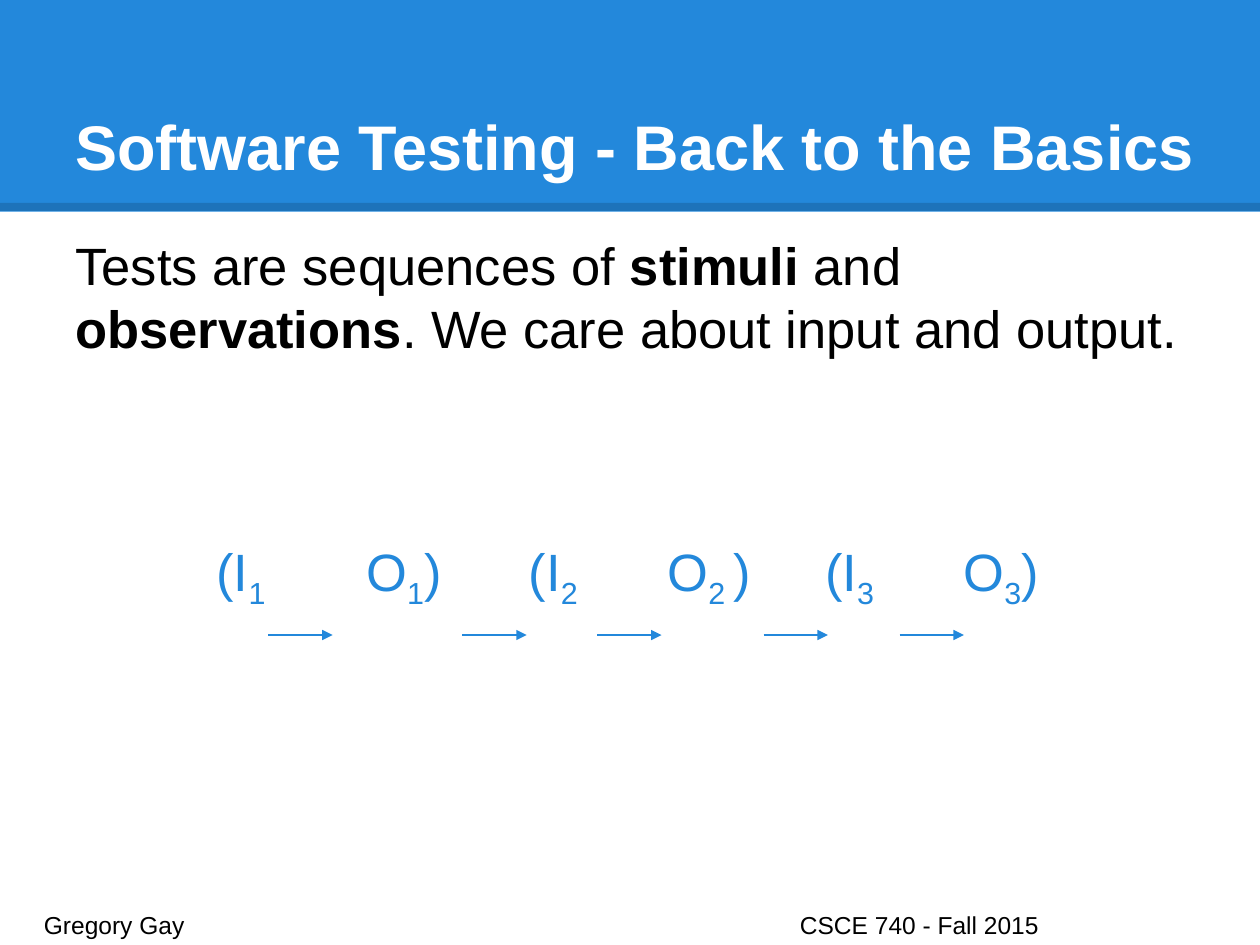
"""Build the slide on tests as sequences of stimuli and observations."""
from lxml import etree
from pptx import Presentation
from pptx.dml.color import RGBColor
from pptx.enum import shapes, text
from pptx.oxml.ns import qn
from pptx.util import Inches, Pt

BLUE = RGBColor(0x23, 0x88, 0xDB)
WHITE = RGBColor(0xFF, 0xFF, 0xFF)
BLACK = RGBColor(0x00, 0x00, 0x00)


class Slide:
    """Holds the style and the current page; lengths are percent of the page."""

    font = "Arial"
    inset = Inches(0.1)

    def __init__(self, deck):
        self.deck = deck
        self.page = deck.slides.add_slide(deck.slide_layouts[6])

    def across(self, share):
        """Turn a share of the page width into a length."""
        return int(self.deck.slide_width * share / 100)

    def down(self, share):
        """Turn a share of the page height into a length."""
        return int(self.deck.slide_height * share / 100)

    def place(self, left, top, width, height):
        """Turn four shares into four lengths."""
        return self.across(left), self.down(top), self.across(width), self.down(height)

    def band(self, height, color):
        """Add a filled band across the top."""
        band = self.page.shapes.add_shape(
            shapes.MSO_SHAPE.RECTANGLE, *self.place(0, 0, 100, height))
        band.shadow.inherit = False
        band.fill.solid()
        band.fill.fore_color.rgb = color
        band.line.fill.background()

    def rule(self, left, right, top, color, weight, opacity=100, arrow=False):
        """Add a level line, faded or with an arrowhead if asked."""
        y = self.down(top)
        rule = self.page.shapes.add_connector(
            shapes.MSO_CONNECTOR.STRAIGHT, self.across(left), y, self.across(right), y)
        rule.line.color.rgb = color
        rule.line.width = Pt(weight)
        props = rule._element.spPr
        line = props.find(qn("a:ln"))
        if opacity < 100:
            shade = line.find(".//" + qn("a:srgbClr"))
            etree.SubElement(shade, qn("a:alpha"), val=str(opacity * 1000))
        if arrow:
            etree.SubElement(line, qn("a:tailEnd"), type="triangle")
        etree.SubElement(props, qn("a:effectLst"))

    def box(self, left, top, width, height, anchor=text.MSO_ANCHOR.TOP):
        """Add an empty text box and return its frame."""
        frame = self.page.shapes.add_textbox(
            *self.place(left, top, width, height)).text_frame
        frame.word_wrap = True
        frame.vertical_anchor = anchor
        frame.margin_left = frame.margin_right = self.inset
        frame.margin_top = frame.margin_bottom = self.inset
        return frame

    def tabs(self, para, stops):
        """Set tab stops, measured from the left edge of the text."""
        tab_list = etree.SubElement(para._p.get_or_add_pPr(), qn("a:tabLst"))
        for stop in stops:
            etree.SubElement(tab_list, qn("a:tab"), pos=str(self.across(stop)), algn="l")

    def span(self, para, words, size, color, bold=False, baseline=0):
        """Add one run of text."""
        span = para.add_run()
        span.text = words
        span.font.name = self.font
        span.font.size = Pt(size)
        span.font.color.rgb = color
        span.font.bold = bold
        if baseline:
            span._r.get_or_add_rPr().set("baseline", str(baseline * 1000))


def main():
    """Lay out the header, statement, sequence and footer."""
    deck = Presentation()
    deck.slide_width, deck.slide_height = Inches(10), Inches(7.5)
    slide = Slide(deck)

    slide.band(22.4, BLUE)
    slide.rule(0, 100, 21.9, BLACK, 4.5, opacity=15)
    title = slide.box(5, 4, 92.5, 16.67, text.MSO_ANCHOR.BOTTOM).paragraphs[0]
    slide.span(title, "Software Testing - Back to the Basics", 36, WHITE, bold=True)

    body = slide.box(5, 23.33, 90, 72.4)
    statement = body.paragraphs[0]
    statement.line_spacing = Pt(36)
    for words, bold in (("Tests are sequences of ", False), ("stimuli ", True),
                        ("and ", False), ("observations", True),
                        (". We care about input and output.", False)):
        slide.span(statement, words, 30, BLACK, bold)

    sequence = body.add_paragraph()
    slide.tabs(sequence, (11.2, 23.1, 36, 47, 59.5, 70.5))
    sequence.line_spacing = Pt(36)
    sequence.space_before = Pt(108)
    for step, output in (("1", "1"), ("2", "2 "), ("3", "3")):
        for words, baseline in (("\t(I", 0), (step, -25), ("\tO", 0), (output, -25), (")", 0)):
            slide.span(sequence, words, 30, BLUE, baseline=baseline)
    for left in (21.3, 36.7, 47.4, 60.6, 71.4):
        slide.rule(left, left + 5.1, 67.2, BLUE, 1.5, arrow=True)

    footer = slide.box(2.5, 94.93, 95.1, 4).paragraphs[0]
    slide.tabs(footer, (60,))
    slide.span(footer, "Gregory Gay\tCSCE 740 - Fall 2015", 14, BLACK)

    deck.save("out.pptx")


if __name__ == "__main__":
    main()
